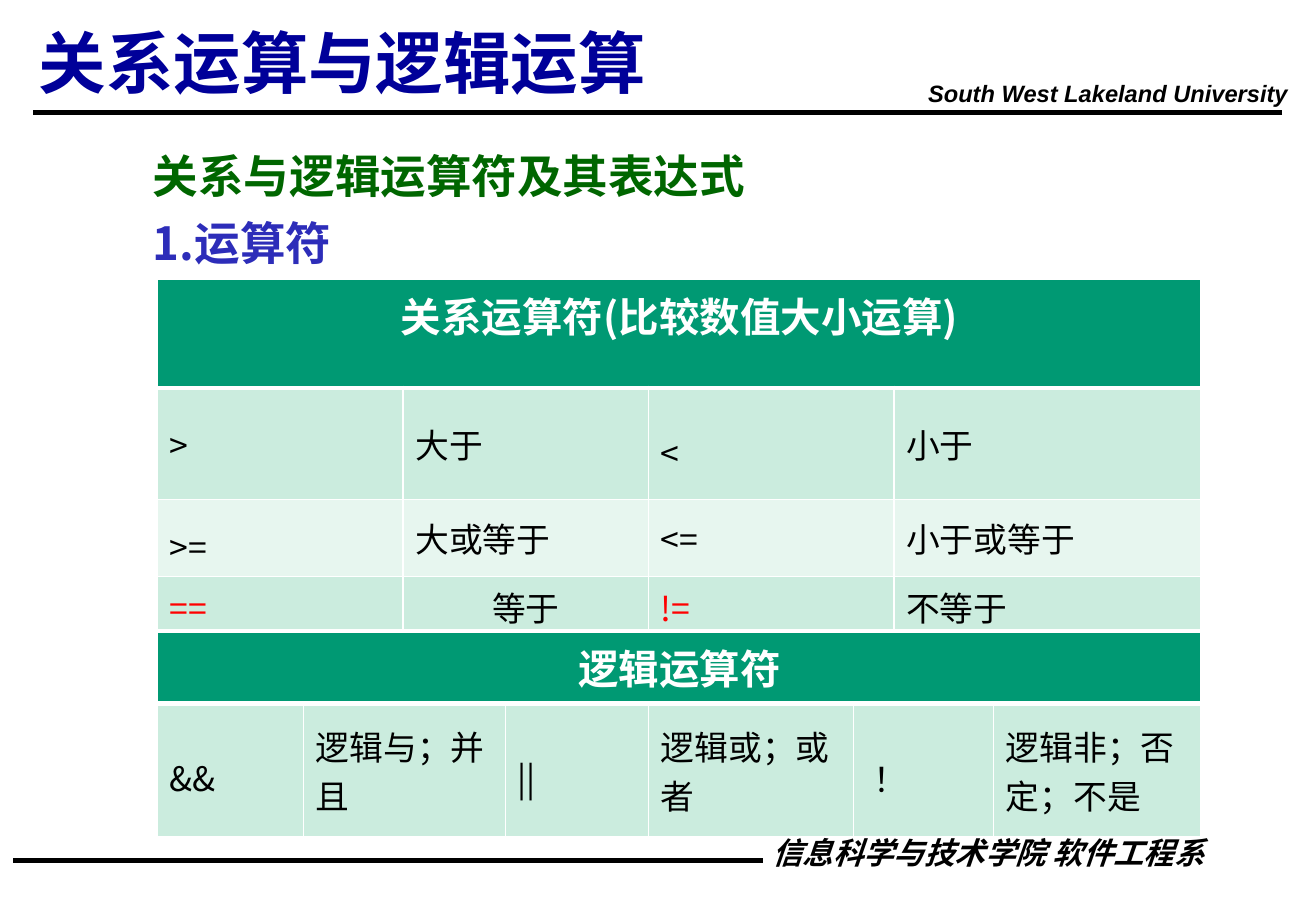
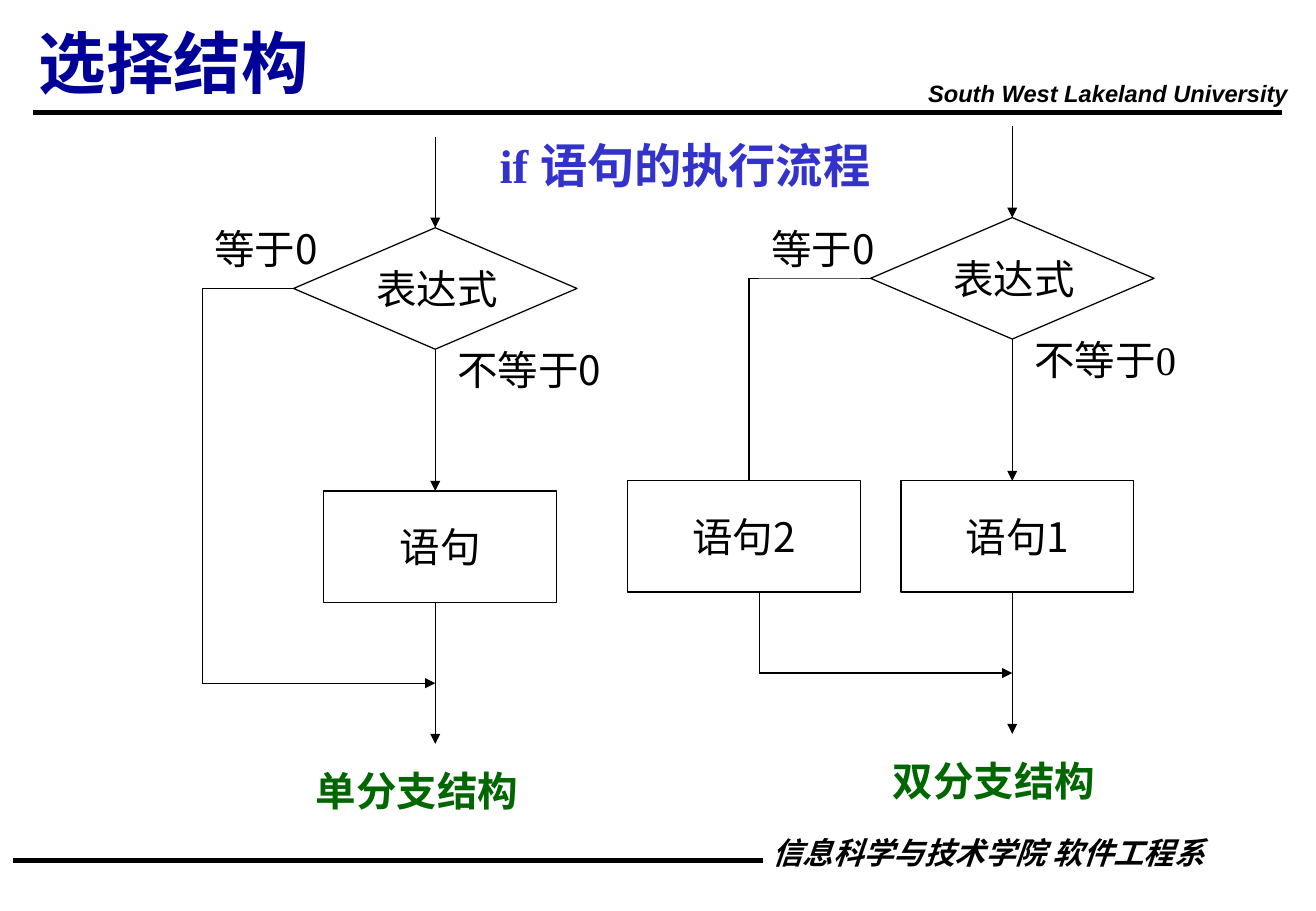
from dataclasses import dataclass

from lxml import etree
from pptx import Presentation
from pptx.dml.color import RGBColor
from pptx.enum.shapes import MSO_CONNECTOR, MSO_SHAPE
from pptx.enum.text import MSO_ANCHOR, PP_ALIGN
from pptx.oxml.ns import qn
from pptx.util import Pt

LEFT, CENTER, RIGHT = PP_ALIGN.LEFT, PP_ALIGN.CENTER, PP_ALIGN.RIGHT
TOP, MIDDLE = MSO_ANCHOR.TOP, MSO_ANCHOR.MIDDLE
RECT, DIAMOND = MSO_SHAPE.RECTANGLE, MSO_SHAPE.DIAMOND
STRAIGHT = MSO_CONNECTOR.STRAIGHT


@dataclass(frozen=True)
class Theme:
    """Colours, fonts and type sizes of the deck."""
    black: str = "000000"
    white: str = "FFFFFF"
    red: str = "FF0000"
    title: str = "000099"
    green: str = "006600"
    item: str = "2D2DB9"
    heading: str = "3333CC"
    header: str = "009973"
    bands: tuple = ("CBECDE", "E7F6EF")
    cjk: str = "Noto Sans CJK SC"
    serif: str = "Times New Roman"
    sans: str = "Arial"
    title_size: int = 40
    heading_size: int = 28
    lead_size: int = 27
    body_size: int = 24
    cell_size: int = 20
    footer_size: int = 18
    school_size: int = 14
    rule: float = 3
    hairline: float = 0.75


T = Theme()

SCHOOL = "South West Lakeland University"
DEPARTMENT = "信息科学与技术学院 软件工程系"

OPERATORS = {
    "title": "关系运算与逻辑运算",
    "lead": "关系与逻辑运算符及其表达式",
    "item": "运算符",
    "tables": [
        {"header": "关系运算符(比较数值大小运算)", "top": 165.5, "height": 205,
         "cols": [145.5, 145.5, 145.5, 182], "rows": [64.5, 66, 43, 29],
         "body": [[">", "大于", "<", "小于"],
                  [">=", "大或等于", "<=", "小于或等于"],
                  ["==", "等于", "!=", "不等于"]]},
        {"header": "逻辑运算符", "top": 374.5, "height": 122,
         "cols": [86.5, 119.5, 85, 121.5, 83, 123], "rows": [42.5, 79],
         "body": [["&&", "逻辑与；并且", "||", "逻辑或；或者", " ！",
                   "逻辑非；否定；不是"]]},
    ],
}
RED_CELLS = {"==", "!="}
CENTRED_CELLS = {"等于"}
CELL_SPACING = {"<": 38.6, ">=": 38.6, " ！": 38.6, "&&": 36.6, "||": 36.6}

SELECTION = {
    "title": "选择结构",
    "heading": "if 语句的执行流程",
    "flows": [
        {"axis": 258, "shift": 0, "then": "语句", "otherwise": None,
         "caption": "单分支结构", "false_x": 120, "join_x": 120,
         "yes_font": T.cjk},
        {"axis": 600, "shift": -6, "then": "语句1", "otherwise": "语句2",
         "caption": "双分支结构", "false_x": 444, "join_x": 450,
         "yes_font": T.serif},
    ],
}
TEST, NO_LABEL, YES_LABEL = "表达式", "等于0", "不等于0"


def rgb(value):
    """Turn a hex string into a colour."""
    return RGBColor.from_string(value)


def write(p, text, size, color=T.black, font=T.cjk, bold=False, italic=False,
          align=LEFT, spacing=None, before=0):
    """Fill a paragraph and set its type."""
    p.add_run().text = text
    p.alignment = align
    if spacing:
        p.line_spacing = spacing
    if before:
        p.space_before = Pt(before)
    f = p.font
    f.name, f.size, f.bold, f.italic = font, Pt(size), bold, italic
    f.color.rgb = rgb(color)
    props = p._p.pPr.find(qn("a:defRPr"))
    etree.SubElement(props, qn("a:ea"), typeface=T.cjk)


def number(p):
    """Number a paragraph 1., 2., ..."""
    auto = etree.Element(qn("a:buAutoNum"), type="arabicPeriod")
    p._p.pPr.find(qn("a:defRPr")).addprevious(auto)


def add_text(s, box, text, size, snug=False, anchor=TOP, **style):
    """Add a text box, without a right inset if snug; return its frame."""
    tf = s.shapes.add_textbox(*map(Pt, box)).text_frame
    tf.word_wrap, tf.vertical_anchor = True, anchor
    if snug:
        tf.margin_right = 0
    write(tf.paragraphs[0], text, size, **style)
    return tf


def add_block(s, kind, box, text, outline=True, **style):
    """Add a white shape with a label."""
    sp = s.shapes.add_shape(kind, *map(Pt, box))
    sp.shadow.inherit = False
    sp.fill.solid()
    sp.fill.fore_color.rgb = rgb(T.white)
    if outline:
        sp.line.color.rgb, sp.line.width = rgb(T.black), Pt(T.hairline)
    else:
        sp.line.fill.background()
    tf = sp.text_frame
    tf.word_wrap, tf.vertical_anchor = False, MIDDLE
    write(tf.paragraphs[0], text, T.body_size, **style)


def add_line(s, start, end, width=T.hairline, arrow=False):
    """Add a straight line, with an arrowhead at its end if asked."""
    line = s.shapes.add_connector(STRAIGHT, *map(Pt, start + end))
    line.line.color.rgb, line.line.width = rgb(T.black), Pt(width)
    if arrow:
        etree.SubElement(line.line._get_or_add_ln(), qn("a:tailEnd"),
                         type="triangle")
    etree.SubElement(line._element.spPr, qn("a:effectLst"))


def add_slide(prs, title):
    """Add a slide with the shared rules, footer and title."""
    s = prs.slides.add_slide(prs.slide_layouts[6])
    add_line(s, (760, 66.5), (19.5, 66.5), T.rule)
    add_text(s, (543, 48, 226, 19.5), SCHOOL, T.school_size, snug=True,
             font=T.sans, bold=True, italic=True, spacing=0.7, before=2.8)
    add_line(s, (452, 510), (8, 510), T.rule)
    add_text(s, (379, 497, 342, 22), DEPARTMENT, T.footer_size, bold=True,
             italic=True, align=RIGHT, spacing=0.7, before=3.6)
    add_text(s, (16, 9, 663, 57), title, T.title_size, color=T.title,
             font=T.serif, bold=True)
    return s


def set_borders(cell, top, bottom):
    """Draw white cell borders, one point wide at the sides."""
    props = cell._tc.get_or_add_tcPr()
    sides = {"a:lnL": 1, "a:lnR": 1, "a:lnT": top, "a:lnB": bottom}
    for i, (tag, width) in enumerate(sides.items()):
        ln = etree.Element(qn(tag), w=str(Pt(width)))
        fill = etree.SubElement(ln, qn("a:solidFill"))
        etree.SubElement(fill, qn("a:srgbClr"), val=T.white)
        props.insert(i, ln)


def add_operator_table(s, data):
    """Add a table with one merged header row and banded rows."""
    cols, rows = data["cols"], data["rows"]
    frame = s.shapes.add_table(len(rows), len(cols), Pt(93.5),
                               Pt(data["top"]), Pt(sum(cols)),
                               Pt(data["height"]))
    table = frame.table
    for column, width in zip(table.columns, cols):
        column.width = Pt(width)
    for row, height in zip(table.rows, rows):
        row.height = Pt(height)
    header = table.cell(0, 0)
    header.merge(table.cell(0, len(cols) - 1))
    write(header.text_frame.paragraphs[0], data["header"], T.body_size,
          color=T.white, bold=True, align=CENTER)
    for c in range(len(cols)):
        cell = table.cell(0, c)
        cell.fill.solid()
        cell.fill.fore_color.rgb = rgb(T.header)
        set_borders(cell, 1, 3)
    for r, texts in enumerate(data["body"], start=1):
        for c, text in enumerate(texts):
            cell = table.cell(r, c)
            cell.vertical_anchor = MIDDLE
            cell.fill.solid()
            cell.fill.fore_color.rgb = rgb(T.bands[(r - 1) % 2])
            set_borders(cell, 3 if r == 1 else 1, 1)
            spacing = CELL_SPACING.get(text)
            write(cell.text_frame.paragraphs[0], text, T.cell_size,
                  color=T.red if text in RED_CELLS else T.black,
                  align=CENTER if text in CENTRED_CELLS else LEFT,
                  spacing=Pt(spacing) if spacing else None)


def add_flow(s, flow):
    """Draw one branch flowchart around its vertical axis."""
    x, dy = flow["axis"], flow["shift"]
    entry, test, test_end, box, box_end, join, leave = (
        y + dy for y in (81, 135, 207, 291, 357, 405, 441))
    middle = (test + test_end) / 2
    false_x, join_x = flow["false_x"], flow["join_x"]
    for start, end in ((entry, test), (test_end, box), (box_end, leave)):
        add_line(s, (x, start), (x, end), arrow=True)
    add_line(s, (x - 84, middle), (false_x, middle))
    if flow["otherwise"]:
        add_line(s, (false_x, middle), (false_x, box))
        add_line(s, (join_x, box_end), (join_x, join))
        add_block(s, RECT, (x - 228, box, 138, 66), flow["otherwise"],
                  align=CENTER)
    else:
        add_line(s, (false_x, middle), (false_x, join))
    add_line(s, (join_x, join), (x, join), arrow=True)
    add_block(s, DIAMOND, (x - 84, test, 168, 72), TEST)
    add_block(s, RECT, (x - 66, box, 138, 66), flow["then"], align=CENTER)
    add_block(s, RECT, (join_x, 129, 60, 36), NO_LABEL, outline=False)
    add_text(s, (x + 6, test_end, 102, 24), YES_LABEL, T.body_size,
             snug=True, anchor=MIDDLE, font=flow["yes_font"])
    add_block(s, RECT, (x - 78, leave + 9.5, 156, 36), flow["caption"],
              outline=False, color=T.green, bold=True)


def build_operators(prs):
    """Build the slide on relational and logical operators."""
    s = add_slide(prs, OPERATORS["title"])
    tf = add_text(s, (83.5, 77, 650, 88), OPERATORS["lead"], T.lead_size,
                  color=T.green, bold=True, spacing=Pt(39.6))
    p = tf.add_paragraph()
    write(p, OPERATORS["item"], T.lead_size, color=T.item, bold=True,
          spacing=Pt(39.6))
    number(p)
    for table in OPERATORS["tables"]:
        add_operator_table(s, table)


def build_selection(prs):
    """Build the slide on one-way and two-way branches."""
    s = add_slide(prs, SELECTION["title"])
    add_text(s, (289, 84, 253, 34), SELECTION["heading"], T.heading_size,
             color=T.heading, font=T.serif, bold=True, spacing=0.8, before=14)
    for flow in SELECTION["flows"]:
        add_flow(s, flow)


prs = Presentation()
prs.slide_width, prs.slide_height = Pt(780), Pt(540)
build_operators(prs)
build_selection(prs)
prs.save("out.pptx")
